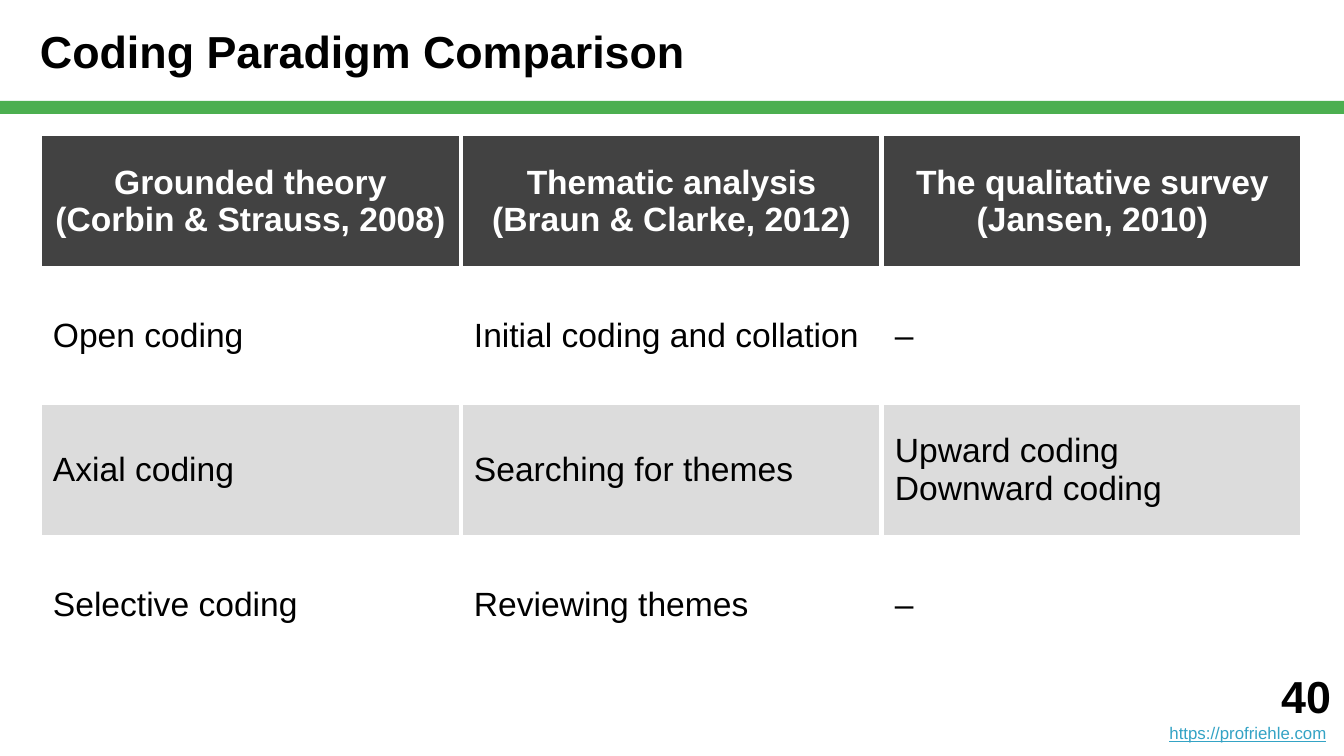
from lxml.etree import SubElement
from pptx import Presentation
from pptx.dml.color import RGBColor
from pptx.enum.shapes import MSO_SHAPE as Shape
from pptx.enum.text import MSO_ANCHOR as Anchor, PP_ALIGN as Align
from pptx.oxml.ns import qn
from pptx.util import Emu, Pt

PX_PER_INCH = 134.4
FONT = "Arial"
INSET = 13

BLACK = RGBColor(0x00, 0x00, 0x00)
WHITE = RGBColor(0xFF, 0xFF, 0xFF)
GREEN = RGBColor(0x4C, 0xAF, 0x50)
DARK = RGBColor(0x42, 0x42, 0x42)
LIGHT = RGBColor(0xDC, 0xDC, 0xDC)
LINK = RGBColor(0x34, 0xA3, 0xC5)

ROWS = [
    ["Grounded theory (Corbin & Strauss, 2008)",
     "Thematic analysis (Braun & Clarke, 2012)",
     "The qualitative survey (Jansen, 2010)"],
    ["Open coding", "Initial coding and collation", "–"],
    ["Axial coding", "Searching for themes", "Upward coding\vDownward coding"],
    ["Selective coding", "Reviewing themes", "–"],
]
ROW_FILLS = [DARK, None, LIGHT, None]


def px(length):
    return Emu(round(length * 914400 / PX_PER_INCH))


def set_font(font, size, color, bold=False):
    font.name = FONT
    font.size = Pt(size)
    font.bold = bold
    font.color.rgb = color


def add_text(page, box, anchor, left_inset=INSET):
    frame = page.shapes.add_textbox(*map(px, box)).text_frame
    frame.word_wrap = True
    frame.vertical_anchor = anchor
    frame.margin_left = px(left_inset)
    frame.margin_top = frame.margin_right = frame.margin_bottom = px(INSET)
    return frame


def add_header(page, box, title):
    left, top, width, height = box
    bar_height = 13

    # Green rule along the bottom edge
    title_height = height - bar_height
    bar = page.shapes.add_shape(
        Shape.RECTANGLE, *map(px, (left, top + title_height, width, bar_height)))
    bar.shadow.inherit = False
    bar.fill.solid()
    bar.fill.fore_color.rgb = GREEN
    bar.line.fill.background()

    # Title
    frame = add_text(page, (left, top, width, title_height), Anchor.MIDDLE, 40)
    para = frame.paragraphs[0]
    para.text = title
    set_font(para.font, 24, BLACK, True)


def add_footer(page, box, number, address):
    frame = add_text(page, box, Anchor.BOTTOM)
    number_para, link_para = frame.paragraphs[0], frame.add_paragraph()
    number_para.text = number
    set_font(number_para.font, 24, BLACK, True)

    # Underlined address, followed by a plain space
    link_para.font.size = Pt(9)
    span = link_para.add_run()
    span.text = address
    set_font(span.font, 9, LINK)
    span.font.underline = True
    space = link_para.add_run()
    space.text = " "
    set_font(space.font, 9, LINK)
    for para in frame.paragraphs:
        para.alignment = Align.RIGHT


def set_borders(cell, color, width):
    properties = cell._tc.get_or_add_tcPr()
    for side in ("a:lnL", "a:lnR", "a:lnT", "a:lnB"):
        line = SubElement(properties, qn(side), w=str(Pt(width)))
        fill = SubElement(line, qn("a:solidFill"))
        SubElement(fill, qn("a:srgbClr"), val=str(color))


def fill_cell(cell, text, fill, is_header):
    set_borders(cell, WHITE, 3)
    if fill is None:
        cell.fill.background()
    else:
        cell.fill.solid()
        cell.fill.fore_color.rgb = fill
    cell.vertical_anchor = Anchor.MIDDLE
    cell.margin_left = cell.margin_right = px(INSET)
    cell.margin_top = cell.margin_bottom = px(INSET)
    cell.text = text
    para = cell.text_frame.paragraphs[0]
    para.alignment = Align.CENTER if is_header else Align.LEFT
    set_font(para.font, 18, WHITE if is_header else BLACK, is_header)


def add_comparison(page, box, rows):
    left, top, width, height = box
    table = page.shapes.add_table(
        len(rows), len(rows[0]), *map(px, box)).table
    for column in table.columns:
        column.width = px(width / len(rows[0]))
    for row in table.rows:
        row.height = px(height / len(rows))
    for i, (texts, fill) in enumerate(zip(rows, ROW_FILLS)):
        for j, text in enumerate(texts):
            fill_cell(table.cell(i, j), text, fill, i == 0)


def main():
    deck = Presentation()
    deck.slide_width, deck.slide_height = px(1344), px(756)
    page = deck.slides.add_slide(deck.slide_layouts[6])
    add_header(page, (0, 0, 1344, 114), "Coding Paradigm Comparison")
    add_footer(page, (1075, 649, 269, 107), "40", "https://profriehle.com")
    add_comparison(page, (40, 134, 1263, 538), ROWS)
    deck.save("out.pptx")


if __name__ == "__main__":
    main()
